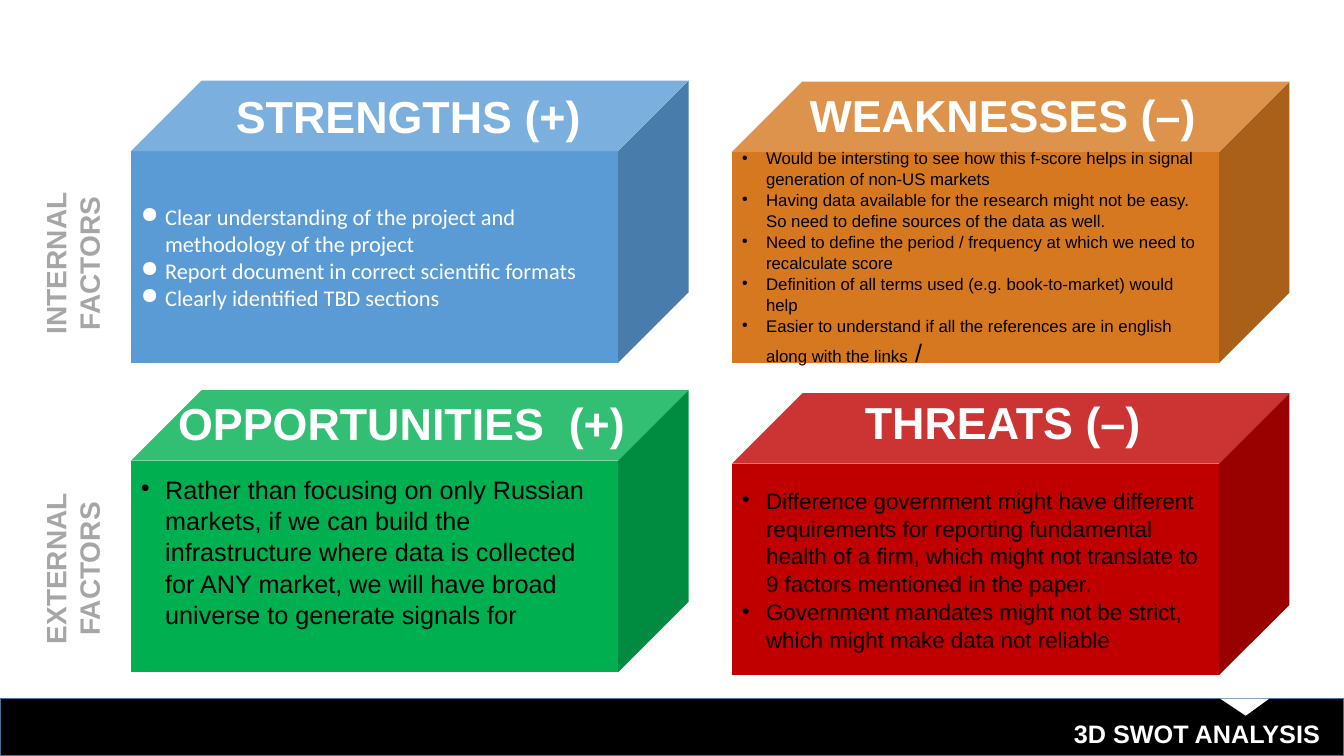
"""Build a 3D SWOT analysis slide with four labelled cubes."""
from dataclasses import dataclass

from lxml.etree import SubElement
from pptx import Presentation
from pptx.dml.color import RGBColor
from pptx.enum.shapes import MSO_SHAPE as Preset
from pptx.enum.text import MSO_ANCHOR as Anchor, PP_ALIGN as Align
from pptx.oxml.ns import qn
from pptx.shapes.autoshape import Shape
from pptx.slide import Slide
from pptx.text.text import TextFrame, _Paragraph as Paragraph
from pptx.util import Inches, Pt


@dataclass(frozen=True)
class Theme:
    """Colours, fonts and type sizes of the slide."""
    white: str = "FFFFFF"
    black: str = "000000"
    grey: str = "A6A6A6"
    bar_edge: str = "43729D"
    blue: str = "5B9BD5"
    orange: str = "D57820"
    green: str = "00B050"
    red: str = "C00000"
    font: str = "Arial"
    strengths_font: str = "Calibri"
    heading: int = 32
    side: int = 20
    large: int = 18
    medium: int = 16
    small: int = 12


THEME = Theme()


@dataclass(frozen=True)
class Box:
    """Position and size in inches."""
    left: float
    top: float
    width: float
    height: float

    def lengths(self) -> list[int]:
        """Return the four measures as lengths."""
        return [Inches(v) for v in (self.left, self.top, self.width, self.height)]


@dataclass(frozen=True)
class TextStyle:
    """Look of a paragraph."""
    size: int
    color: str
    bold: bool = False
    font: str = THEME.font


@dataclass(frozen=True)
class Quadrant:
    """One cube with its heading and bullet points."""
    heading: str
    heading_box: Box
    heading_indent: float
    cube: Box
    fill: str
    points: tuple[str, ...]
    style: TextStyle
    bullet_percent: int = 45
    line_spacing: float = 1.04
    bottom_inset: float = 0.05
    ending: str = ""


@dataclass(frozen=True)
class SideLabel:
    """Rotated label beside a row of cubes."""
    text: str
    top: float


HEADING = TextStyle(THEME.heading, THEME.white, bold=True)
SIDE = TextStyle(THEME.side, THEME.grey, bold=True)
FOOTER = TextStyle(THEME.large, THEME.white, bold=True)

QUADRANTS = (
    Quadrant("OPPORTUNITIES  (+)", Box(1.27, 3.88, 5.43, 1.17), 0,
             Box(1.3, 3.87, 5.53, 2.8), THEME.green,
             ("Rather than focusing on only Russian markets, if we can build the "
              "infrastructure where data is collected for ANY market, we will have "
              "broad universe to generate signals for",),
             TextStyle(THEME.large, THEME.black), bottom_inset=0.35),
    Quadrant("THREATS (–)", Box(7.23, 3.87, 4.83, 0.63), 0.6,
             Box(7.26, 3.9, 5.53, 2.8), THEME.red,
             ("Difference government might have different requirements for reporting "
              "fundamental health of a firm, which might not translate to 9 factors "
              "mentioned in the paper.",
              "Government mandates might not be strict, which might make data not "
              "reliable"),
             TextStyle(THEME.medium, THEME.black)),
    Quadrant("STRENGTHS (+)", Box(1.27, 0.83, 4.83, 0.63), 0.73,
             Box(1.3, 0.8, 5.53, 2.8), THEME.blue,
             ("Clear understanding of the project and methodology of the project",
              "Report document in correct scientific formats",
              "Clearly identified TBD sections"),
             TextStyle(THEME.medium, THEME.white, font=THEME.strengths_font),
             bullet_percent=100, line_spacing=1.0),
    Quadrant("WEAKNESSES (–)", Box(7.23, 0.82, 4.83, 0.63), 0.6,
             Box(7.26, 0.81, 5.53, 2.79), THEME.orange,
             ("Would be intersting to see how this f-score helps in signal generation "
              "of non-US markets",
              "Having data available for the research might not be easy. So need to "
              "define sources of the data as well.",
              "Need to define the period / frequency at which we need to recalculate "
              "score",
              "Definition of all terms used (e.g. book-to-market) would help",
              "Easier to understand if all the references are in english along with "
              "the links"),
             TextStyle(THEME.small, THEME.black), ending=" /"),
)
SIDE_LABELS = (SideLabel("INTERNAL FACTORS", 2.18), SideLabel("EXTERNAL FACTORS", 5.21))


def set_style(paragraph: Paragraph, style: TextStyle) -> None:
    """Apply a text style to a whole paragraph."""
    font = paragraph.font
    font.name, font.size, font.bold = style.font, Pt(style.size), style.bold
    font.color.rgb = RGBColor.from_string(style.color)


def set_bullet(paragraph: Paragraph, percent: int) -> None:
    """Give a paragraph a hanging round bullet."""
    properties = paragraph._p.get_or_add_pPr()
    properties.set("marL", str(Inches(0.24)))
    properties.set("indent", str(-Inches(0.24)))
    SubElement(properties, qn("a:buSzPct"), val=str(percent * 1000))
    SubElement(properties, qn("a:buChar"), char="●")


def set_insets(frame: TextFrame, left: float, top: float, right: float, bottom: float) -> None:
    """Set the text margins in inches and wrap the text."""
    frame.word_wrap = True
    frame.margin_left, frame.margin_top = Inches(left), Inches(top)
    frame.margin_right, frame.margin_bottom = Inches(right), Inches(bottom)


def add_preset(slide: Slide, preset: Preset, box: Box, fill: str) -> Shape:
    """Add a flat filled preset shape without an outline."""
    shape = slide.shapes.add_shape(preset, *box.lengths())
    shape.shadow.inherit = False
    shape.fill.solid()
    shape.fill.fore_color.rgb = RGBColor.from_string(fill)
    shape.line.fill.background()
    return shape


def add_label(slide: Slide, text: str, box: Box, style: TextStyle, align: Align,
              insets: tuple[float, float, float, float] = (0.1, 0.05, 0.1, 0.05)) -> Shape:
    """Add a text box with one styled paragraph."""
    label = slide.shapes.add_textbox(*box.lengths())
    set_insets(label.text_frame, *insets)
    paragraph = label.text_frame.paragraphs[0]
    paragraph.text, paragraph.alignment = text, align
    set_style(paragraph, style)
    return label


def add_quadrant(slide: Slide, quadrant: Quadrant) -> None:
    """Draw a cube with its points and heading."""
    cube = add_preset(slide, Preset.CUBE, quadrant.cube, quadrant.fill)
    cube.adjustments[0] = 0.25
    frame = cube.text_frame
    frame.vertical_anchor = Anchor.MIDDLE
    set_insets(frame, 0.1, 0.05, 0.1, quadrant.bottom_inset)
    for index, point in enumerate(quadrant.points):
        paragraph = frame.add_paragraph() if index else frame.paragraphs[0]
        paragraph.text, paragraph.alignment = point, Align.LEFT
        paragraph.line_spacing = quadrant.line_spacing
        set_bullet(paragraph, quadrant.bullet_percent)
        set_style(paragraph, quadrant.style)
    if quadrant.ending:
        ending = paragraph.add_run()
        ending.text, ending.font.size = quadrant.ending, Pt(THEME.large)
    add_label(slide, quadrant.heading, quadrant.heading_box, HEADING, Align.CENTER,
              (0.1 + quadrant.heading_indent, 0.05, 0.1, 0.05))


def main() -> None:
    """Build and save the slide."""
    deck = Presentation()
    deck.slide_width, deck.slide_height = Inches(13.33), Inches(7.5)
    slide = deck.slides.add_slide(deck.slide_layouts[6])
    bar = add_preset(slide, Preset.RECTANGLE, Box(0, 6.93, 13.33, 0.57), THEME.black)
    bar.line.color.rgb, bar.line.width = RGBColor.from_string(THEME.bar_edge), Pt(1)
    notch = add_preset(slide, Preset.ISOSCELES_TRIANGLE, Box(12.1, 6.93, 0.49, 0.17), THEME.white)
    notch.rotation, notch.adjustments[0] = 180, 0.48
    add_label(slide, "3D SWOT ANALYSIS", Box(6.41, 7.08, 6.78, 0.4), FOOTER, Align.RIGHT)
    for quadrant in QUADRANTS:
        add_quadrant(slide, quadrant)
    for side in SIDE_LABELS:
        label = add_label(slide, side.text, Box(-0.35, side.top, 2.13, 0.87), SIDE,
                          Align.CENTER, (0.05, 0.1, 0.05, 0.1))
        label.rotation = 270
    deck.save("out.pptx")


if __name__ == "__main__":
    main()
